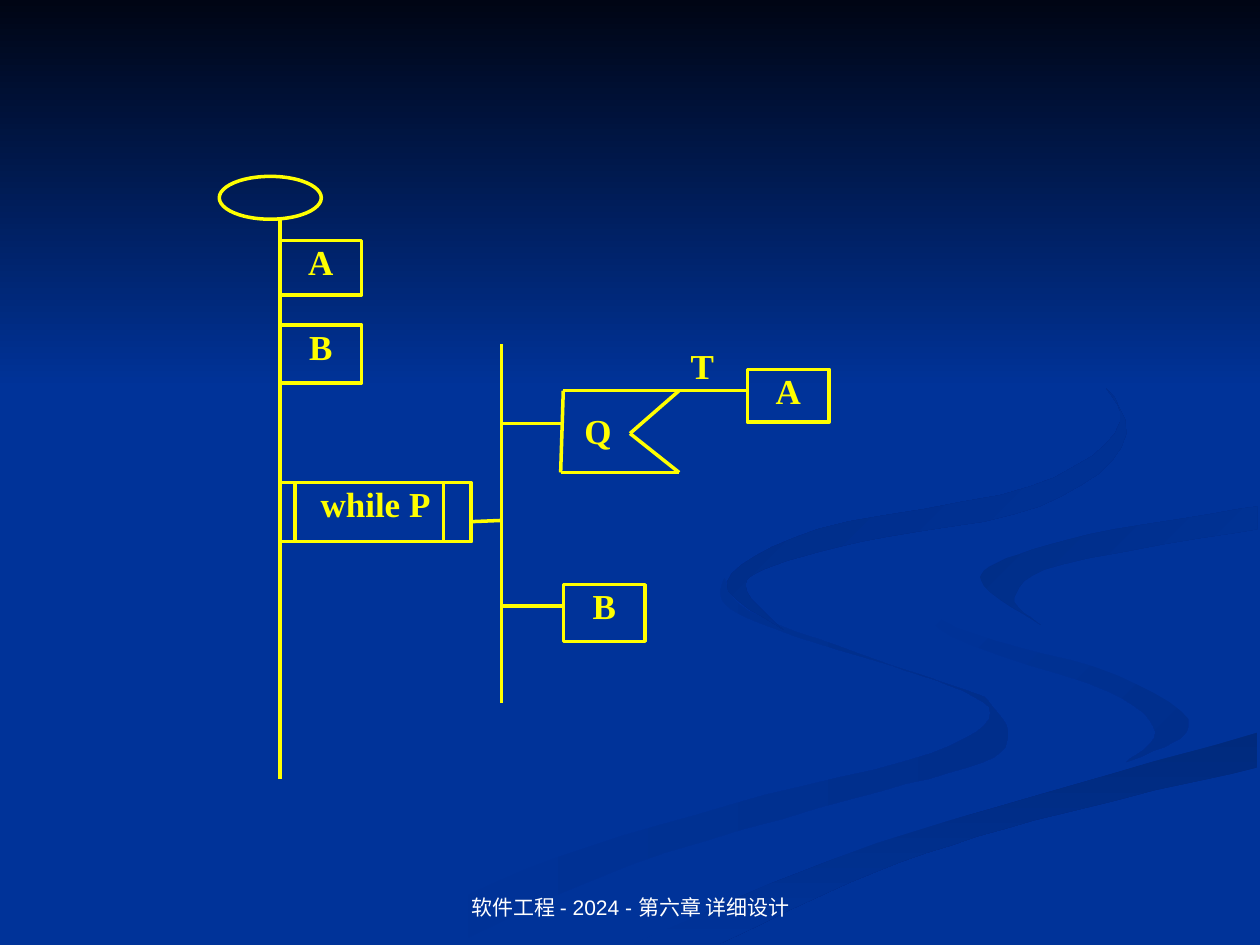
import pptx
import pptx.util
import pptx.dml.color
import pptx.enum.shapes
import pptx.enum.text
from collections import namedtuple
from dataclasses import dataclass
from itertools import pairwise
from lxml import etree

Pt = pptx.util.Pt
SHAPE = pptx.enum.shapes.MSO_SHAPE
ANCHOR = pptx.enum.text.MSO_ANCHOR
Box = namedtuple("Box", "left top width height")


@dataclass(frozen=True)
class Theme:
    back: str = "003399"
    night: str = "000514"
    ink: str = "FFFF00"
    footer: str = "FFFFFF"
    label_font: str = "Times New Roman"
    footer_font: str = "Arial"
    label_size: float = 20
    footer_size: float = 12
    stroke: float = 2


THEME = Theme()
RIBBON_UNIT = 0.72
CURVE_STEPS = 6

RIBBONS = [
    ([THEME.back, "002E8B"], 0, [
        [(781, 553), (682, 519), (594, 485), (575, 459)],
        [(575, 459), (576, 480), (631, 505), (741, 539), (786, 566), (739, 598),
         (579, 639), (417, 690), (300, 749)],
        [(361, 749), (499, 687), (676, 634), (780, 605), (800, 581), (781, 553)]]),
    ([THEME.back, "002E8B"], 45, [
        [(943, 570), (905, 540), (792, 509), (733, 483), (724, 464)],
        [(724, 464), (755, 505), (880, 549), (917, 581), (894, 605)],
        [(894, 605), (937, 586), (943, 570)]]),
    (["002A7D", THEME.back], 90, [
        [(571, 749), (695, 692), (821, 651), (998, 609)],
        [(998, 581), (831, 629), (696, 669), (569, 719), (503, 749)]]),
    ([THEME.back], 0, [
        [(477, 749), (663, 668), (911, 600), (943, 570), (871, 530), (759, 498),
         (725, 464), (755, 432), (874, 408), (999, 387)],
        [(999, 402), (865, 424), (800, 442), (782, 465), (848, 503), (999, 538)],
        [(999, 581), (696, 669), (503, 749)]]),
    (["002D86", THEME.back], 45, [
        [(998, 402), (865, 424), (791, 447), (781, 465), (826, 496)],
        [(826, 496), (805, 474), (843, 448), (998, 420)]]),
    (["002B82", THEME.back], 45, [
        [(762, 233), (843, 275), (894, 344), (825, 402), (683, 430), (606, 452),
         (593, 470), (622, 500)],
        [(622, 500), (577, 462), (649, 420), (818, 386), (889, 335), (846, 279), (762, 233)]]),
]


def rgb(value):
    return pptx.dml.color.RGBColor.from_string(value)


def blend(a, b, c, d, t):
    return (2 * b + (c - a) * t + (2 * a - 5 * b + 4 * c - d) * t ** 2
            + (3 * b - a - 3 * c + d) * t ** 3) / 2


def smooth_edge(knots):
    padded = [knots[0], *knots, knots[-1]]
    curve = [
        tuple(blend(*axis, step / CURVE_STEPS) for axis in zip(*padded[i:i + 4]))
        for i in range(len(knots) - 1) for step in range(CURVE_STEPS)]
    return curve + [knots[-1]]


def paint(sp, colors, angle):
    sp.shadow.inherit = False
    sp.line.fill.background()
    if len(colors) == 1:
        sp.fill.solid()
        sp.fill.fore_color.rgb = rgb(colors[0])
        return
    sp.fill.gradient()
    sp.fill.gradient_angle = -angle % 360
    for stop, color in zip(sp.fill.gradient_stops, colors):
        stop.color.rgb = rgb(color)


def write(sp, text, font, size, color, bold=False, inset=(0, 0.7), anchor=ANCHOR.TOP):
    tf = sp.text_frame
    tf.word_wrap = True
    tf.vertical_anchor = anchor
    tf.margin_left = tf.margin_right = Pt(7.2)
    tf.margin_top, tf.margin_bottom = (Pt(m) for m in inset)
    tf.text = text
    p = tf.paragraphs[0]
    p.alignment = pptx.enum.text.PP_ALIGN.CENTER
    for r in p.runs:
        r.font.name = font
        r.font.size = Pt(size)
        r.font.bold = bold
        r.font.color.rgb = rgb(color)


def write_label(sp, text):
    write(sp, text, THEME.label_font, THEME.label_size, THEME.ink, True)


def draw_stroke(line):
    line.color.rgb = rgb(THEME.ink)
    line.width = Pt(THEME.stroke)


def add_backdrop(s, box):
    s.background.fill.solid()
    s.background.fill.fore_color.rgb = rgb(THEME.back)
    for colors, angle, edges in RIBBONS:
        points = [point for edge in edges for point in smooth_edge(edge)]
        builder = s.shapes.build_freeform(*points[0], scale=Pt(RIBBON_UNIT))
        builder.add_line_segments(points[1:], close=True)
        paint(builder.convert_to_shape(Pt(box.left), Pt(box.top)), colors, angle)
    sky = s.shapes.add_shape(SHAPE.RECTANGLE, Pt(box.left), Pt(box.top), Pt(box.width), Pt(222))
    paint(sky, [THEME.night, THEME.back], 90)


def add_pad_diagram(s, box):
    trunk, branch, column = 34.6, 161.3, 196.6
    loop_top, loop_bottom, loop_right = 175, 208.8, 144
    test_top, test_bottom, test_right, then_left = 122.4, 169.2, 262.8, 301.7

    def add_node(text, kind, x, y, h, w=46.8):
        sp = s.shapes.add_shape(kind, Pt(box.left + x), Pt(box.top + y), Pt(w), Pt(h))
        sp.shadow.inherit = False
        sp.fill.background()
        draw_stroke(sp.line)
        if text:
            write_label(sp, text)

    def add_line(start, end):
        x1, y1, x2, y2 = *start, *end
        line = s.shapes.add_connector(
            pptx.enum.shapes.MSO_CONNECTOR.STRAIGHT,
            Pt(box.left + x1), Pt(box.top + y1), Pt(box.left + x2), Pt(box.top + y2))
        draw_stroke(line.line)
        etree.SubElement(line._element.spPr, pptx.oxml.ns.qn("a:effectLst"))

    add_node("", SHAPE.OVAL, 0, 0, 24.5, 58.3)
    add_node("while P", SHAPE.RECTANGLE, trunk, loop_top, loop_bottom - loop_top, loop_right - trunk)
    for text, x, y, h in [("A", trunk, 36.7, 31), ("B", trunk, 85, 33),
                          ("B", column, 233.3, 32.4), ("A", then_left, 110.2, 30.2)]:
        add_node(text, SHAPE.RECTANGLE, x, y, h)

    add_line((trunk, 24.5), (trunk, box.height))
    add_line((branch, 95.8), (branch, 301))
    add_line((loop_right, 197.3), (branch, 196.6))
    for x in (43.2, 128.2):
        add_line((x, loop_top), (x, loop_bottom))
    for y in (141.1, 245.5):
        add_line((branch, y), (column, y))
    test = [(254.9, test_top), (column, test_top), (column - 1.5, test_bottom),
            (test_right, test_bottom), (234.7, 146.9), (test_right, test_top)]
    for start, end in pairwise(test):
        add_line(start, end)
    add_line(test[0], (then_left, test_top))

    for text, x, y in [("Q", 200.9, 133.2), ("T", 260.6, 95.8)]:
        write_label(s.shapes.add_textbox(Pt(box.left + x), Pt(box.top + y), Pt(31), Pt(24.5)), text)


def add_footer(s, box):
    sp = s.shapes.add_textbox(*(Pt(v) for v in box))
    write(sp, "软件工程 - 2024 - 第六章 详细设计", THEME.footer_font, THEME.footer_size,
          THEME.footer, inset=(3.6, 3.6), anchor=ANCHOR.BOTTOM)


def main():
    prs = pptx.Presentation()
    prs.slide_width, prs.slide_height = Pt(720), Pt(540)
    s = prs.slides.add_slide(prs.slide_layouts[6])
    add_backdrop(s, Box(0, 0, 720, 540))
    add_pad_diagram(s, Box(125.3, 100.8, 348.5, 344.2))
    add_footer(s, Box(246.2, 491.8, 228.2, 37.4))
    prs.save("out.pptx")


if __name__ == "__main__":
    main()
